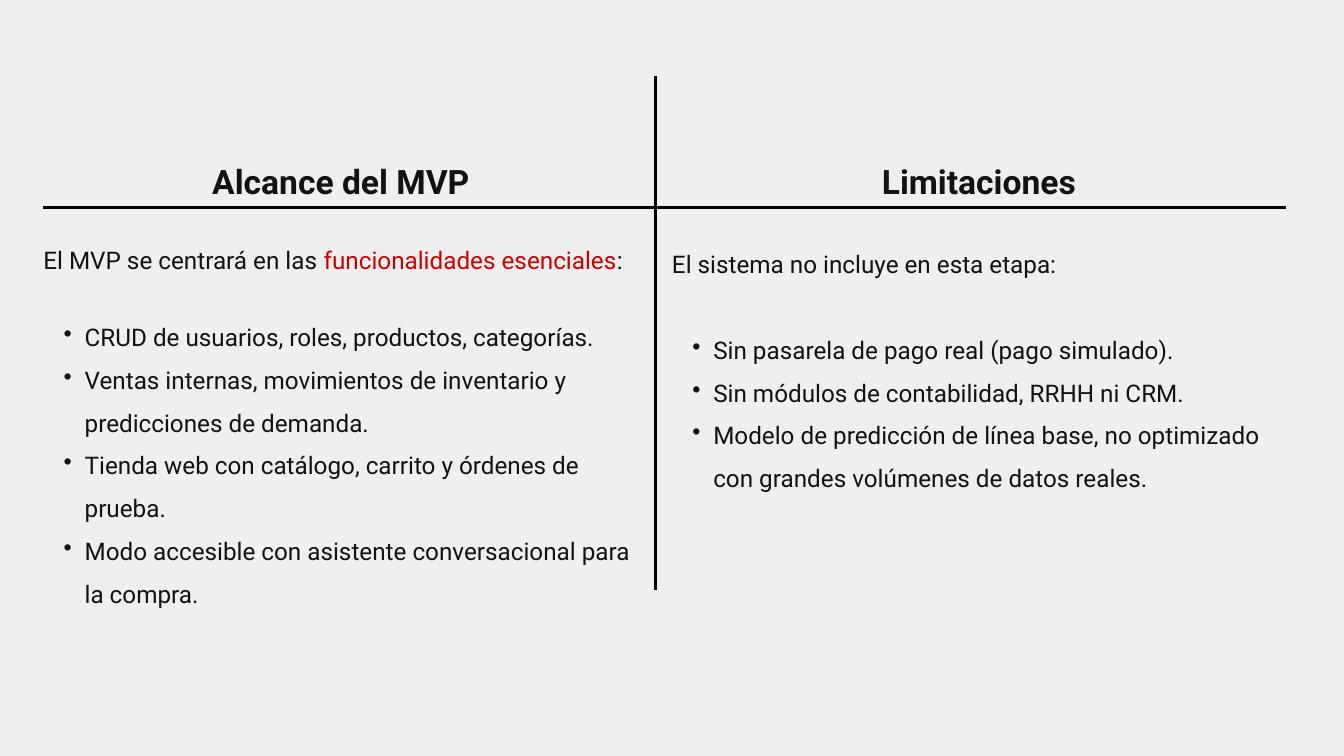
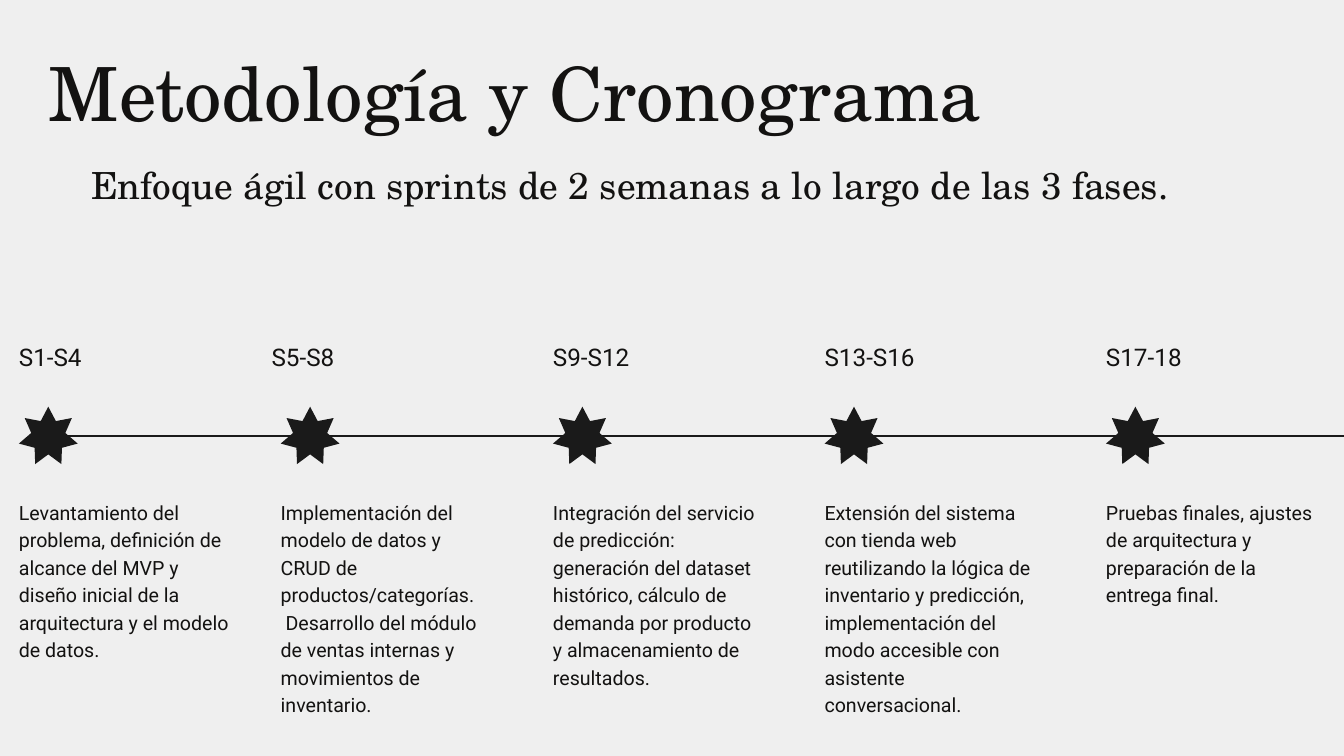
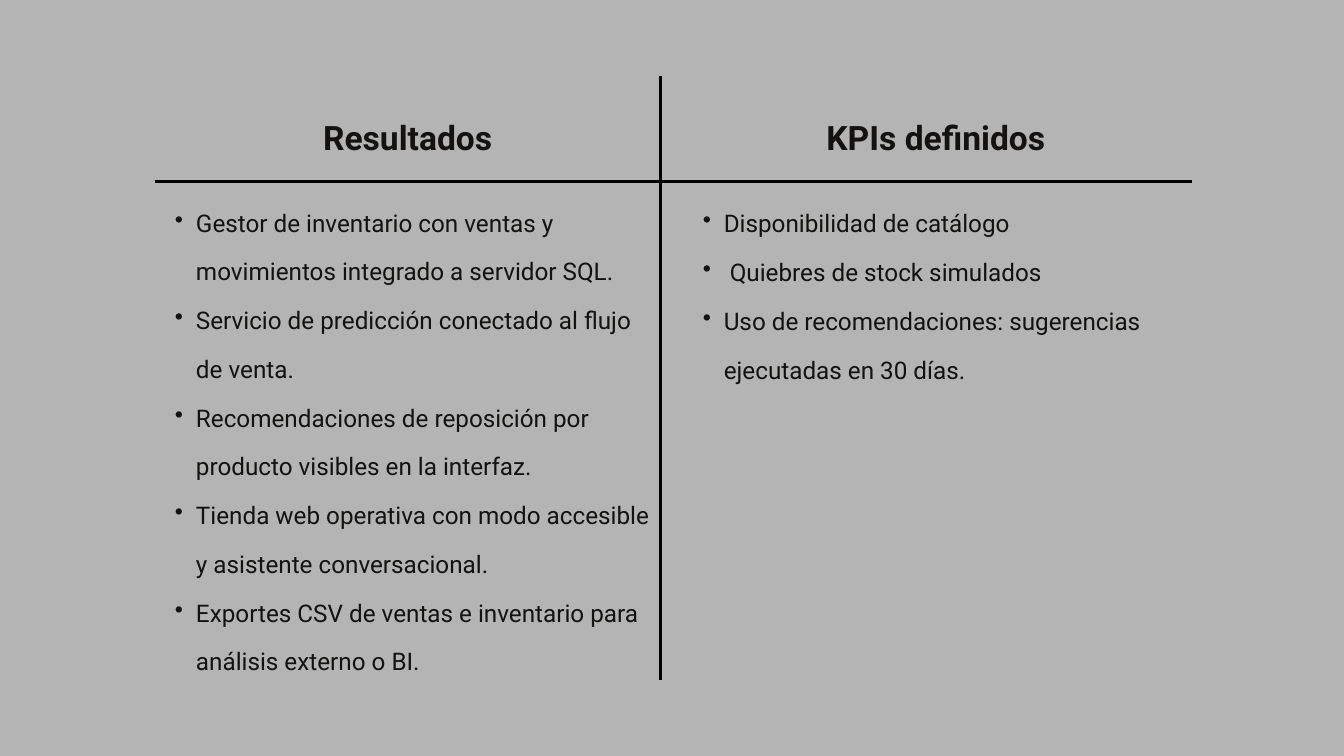
from dataclasses import dataclass

import lxml.etree
import pptx
import pptx.dml.color
import pptx.enum.shapes
import pptx.enum.text
import pptx.oxml.ns
import pptx.util

PX = 9525  # EMU in one px (96 px to the inch)
ALIGN = pptx.enum.text.PP_ALIGN


@dataclass(frozen=True)
class Theme:
    light: str = "EFEFEF"
    grey: str = "B4B4B4"
    ink: str = "131211"
    accent: str = "CC0000"
    rule: str = "000000"
    mark: str = "1A1A1A"
    sans: str = "Roboto"
    serif: str = "TeX Gyre Schola"
    title: int = 80
    subtitle: int = 40
    heading: int = 36
    body: int = 26
    small: int = 21


THEME = Theme()


@dataclass(frozen=True)
class Box:
    left: int
    top: int
    width: int
    height: int


@dataclass(frozen=True)
class Column:
    heading: str
    left: int
    width: int
    body_top: int
    body_height: int
    leading: float
    bullets: list[str]
    intro: tuple[tuple[str, str], ...] = ()  # runs of text and colour
    intro_leading: float = 0


@dataclass(frozen=True)
class Comparison:
    background: str
    heading_top: int
    rule: tuple[int, int, int, int]
    divider: tuple[int, int, int, int]
    columns: list[Column]


@dataclass(frozen=True)
class Step:
    weeks: str
    left: int
    weeks_left: int
    tasks: list[str]


# Drawing helpers
def px(n: int) -> int:
    return n * PX


def rgb(color: str) -> pptx.dml.color.RGBColor:
    return pptx.dml.color.RGBColor.from_string(color)


def add_slide(prs, layout: int, background: str):
    s = prs.slides.add_slide(prs.slide_layouts[layout])
    s.background.fill.solid()
    s.background.fill.fore_color.rgb = rgb(background)
    return s


def place(sp, box: Box):
    """Moves a text shape and clears its margins and autofit."""
    sp.left, sp.top, sp.width, sp.height = map(
        px, (box.left, box.top, box.width, box.height))
    tf = sp.text_frame
    tf.margin_left = tf.margin_top = tf.margin_right = tf.margin_bottom = 0
    tf.word_wrap = True
    tf.auto_size = pptx.enum.text.MSO_AUTO_SIZE.NONE
    tf.vertical_anchor = pptx.enum.text.MSO_ANCHOR.TOP
    return tf


def add_box(s, box: Box):
    return place(s.shapes.add_textbox(0, 0, 0, 0), box)


def set_bullet(p) -> None:
    p.level = 1
    ppr = p._p.get_or_add_pPr()
    ppr.set("marL", str(px(59)))
    ppr.set("indent", str(px(-30)))
    bu = lxml.etree.SubElement(ppr, pptx.oxml.ns.qn("a:buChar"))
    bu.set("char", "•")


def write(tf, text: str | tuple[tuple[str, str], ...], *, size: int, leading: float,
          font: str = THEME.sans, bold: bool = False, align=ALIGN.LEFT,
          bullet: bool = False, after: float = 0) -> None:
    """Adds one paragraph, from plain text or from runs of text and colour."""
    p = tf.paragraphs[0]
    if p.runs:
        p = tf.add_paragraph()
    if bullet:
        set_bullet(p)
    p.alignment = align
    p.line_spacing = pptx.util.Pt(leading)
    p.space_before = pptx.util.Pt(0)
    p.space_after = pptx.util.Pt(after)
    runs = ((text, THEME.ink),) if isinstance(text, str) else text
    for words, color in runs:
        r = p.add_run()
        r.text = words
        r.font.name = font
        r.font.size = pptx.util.Pt(size)
        r.font.bold = bold
        r.font.color.rgb = rgb(color)


def add_line(s, ends: tuple[int, int, int, int], color: str, width: float) -> None:
    line = s.shapes.add_connector(
        pptx.enum.shapes.MSO_CONNECTOR.STRAIGHT, *map(px, ends))
    line.line.color.rgb = rgb(color)
    line.line.width = pptx.util.Pt(width)
    lxml.etree.SubElement(line._element.spPr, pptx.oxml.ns.qn("a:effectLst"))


def add_star(s, box: Box) -> None:
    sp = s.shapes.add_shape(
        pptx.enum.shapes.MSO_SHAPE.STAR_7_POINT,
        px(box.left), px(box.top), px(box.width), px(box.height))
    sp.adjustments[0] = 0.29
    sp.shadow.inherit = False
    sp.fill.solid()
    sp.fill.fore_color.rgb = rgb(THEME.mark)
    sp.line.fill.background()


# Slide types
def add_column(s, column: Column, heading_top: int) -> None:
    tf = add_box(s, Box(column.left, column.body_top, column.width, column.body_height))
    if column.intro:
        write(tf, column.intro, size=THEME.body, leading=column.intro_leading,
              after=column.intro_leading)
    for bullet in column.bullets:
        write(tf, bullet, size=THEME.body, leading=column.leading, bullet=True)
    tf = add_box(s, Box(column.left, heading_top, column.width, 62))
    write(tf, column.heading, size=THEME.heading, leading=50.4, bold=True,
          align=ALIGN.CENTER)


def add_comparison(prs, comparison: Comparison) -> None:
    s = add_slide(prs, 6, comparison.background)
    for column in comparison.columns:
        add_column(s, column, comparison.heading_top)
    add_line(s, comparison.rule, THEME.rule, 3)
    add_line(s, comparison.divider, THEME.rule, 3)


def add_timeline(prs, title: str, subtitle: str, steps: list[Step]) -> None:
    s = add_slide(prs, 5, THEME.light)
    tf = place(s.shapes.title, Box(70, 77, 1661, 121))
    write(tf, title, size=THEME.title, leading=88, font=THEME.serif)
    tf = add_box(s, Box(130, 237, 1661, 61))
    write(tf, subtitle, size=THEME.subtitle, leading=44, font=THEME.serif)
    add_line(s, (61, 623, 1920, 623), THEME.mark, 1.5)
    for step in steps:
        tf = add_box(s, Box(step.weeks_left, 482, 302, 46))
        write(tf, step.weeks, size=THEME.body, leading=36.4)
        add_star(s, Box(step.left, 581, 84, 82))
        tf = add_box(s, Box(step.left, 710, 302, 311))
        for task in step.tasks:
            write(tf, task, size=THEME.small, leading=29.4)


# Content
SCOPE = Comparison(
    THEME.light, 221, (62, 297, 1837, 297), (936, 108, 936, 843),
    [
        Column("Alcance del MVP", 62, 850, 344, 514, 45.8, [
            "CRUD de usuarios, roles, productos, categorías.",
            "Ventas internas, movimientos de inventario y predicciones de demanda.",
            "Tienda web con catálogo, carrito y órdenes de prueba.",
            "Modo accesible con asistente conversacional para la compra.",
        ], (("El MVP se centrará en las ", THEME.ink),
            ("funcionalidades esenciales", THEME.accent),
            (":", THEME.ink)), 36.4),
        Column("Limitaciones", 960, 877, 337, 357, 45.8, [
            "Sin pasarela de pago real (pago simulado).",
            "Sin módulos de contabilidad, RRHH ni CRM.",
            "Modelo de predicción de línea base, no optimizado con grandes "
            "volúmenes de datos reales.",
        ], (("El sistema no incluye en esta etapa:", THEME.ink),), 45.8),
    ])

STEPS = [
    Step("S1-S4", 27, 27, [
        "Levantamiento del problema, definición de alcance del MVP y diseño "
        "inicial de la arquitectura y el modelo de datos."]),
    Step("S5-S8", 401, 388, [
        "Implementación del modelo de datos y CRUD de productos/categorías.",
        " Desarrollo del módulo de ventas internas y movimientos de inventario."]),
    Step("S9-S12", 790, 790, [
        "Integración del servicio de predicción: generación del dataset histórico, "
        "cálculo de demanda por producto y almacenamiento de resultados."]),
    Step("S13-S16", 1178, 1178, [
        "Extensión del sistema con tienda web reutilizando la lógica de inventario "
        "y predicción, implementación del modo accesible con asistente "
        "conversacional."]),
    Step("S17-18", 1580, 1580, [
        "Pruebas finales, ajustes de arquitectura y preparación de la entrega final."]),
]

RESULTS = Comparison(
    THEME.grey, 158, (221, 259, 1703, 259), (944, 108, 944, 972),
    [
        Column("Resultados", 221, 723, 269, 678, 52.2, [
            "Gestor de inventario con ventas y movimientos integrado a servidor SQL.",
            "Servicio de predicción conectado al flujo de venta.",
            "Recomendaciones de reposición por producto visibles en la interfaz.",
            "Tienda web operativa con modo accesible y asistente conversacional.",
            "Exportes CSV de ventas e inventario para análisis externo o BI.",
        ]),
        Column("KPIs definidos", 975, 724, 269, 337, 52.5, [
            "Disponibilidad de catálogo",
            " Quiebres de stock simulados",
            "Uso de recomendaciones: sugerencias ejecutadas en 30 días.",
        ]),
    ])


def main() -> None:
    prs = pptx.Presentation()
    prs.slide_width, prs.slide_height = px(1920), px(1080)
    add_comparison(prs, SCOPE)
    add_timeline(prs, "Metodología y Cronograma",
                 "Enfoque ágil con sprints de 2 semanas a lo largo de las 3 fases.",
                 STEPS)
    add_comparison(prs, RESULTS)
    prs.save("out.pptx")


if __name__ == "__main__":
    main()
